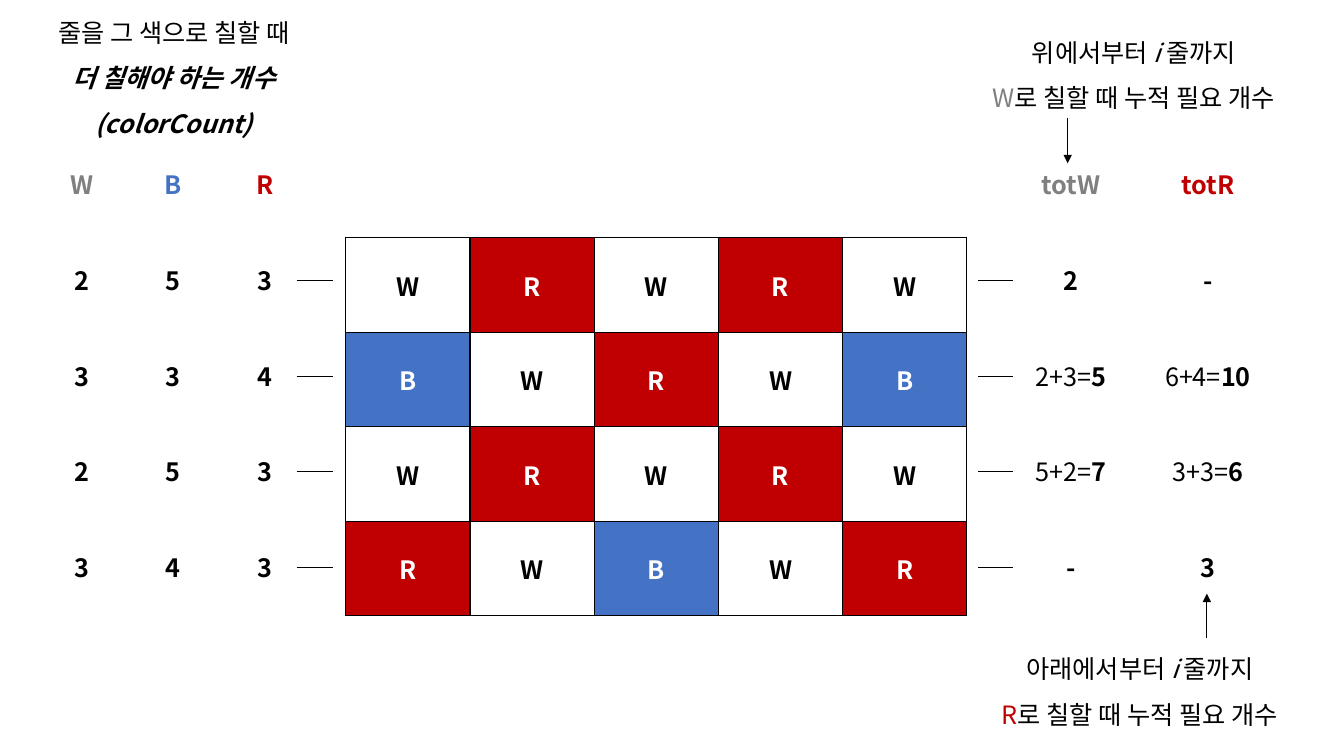
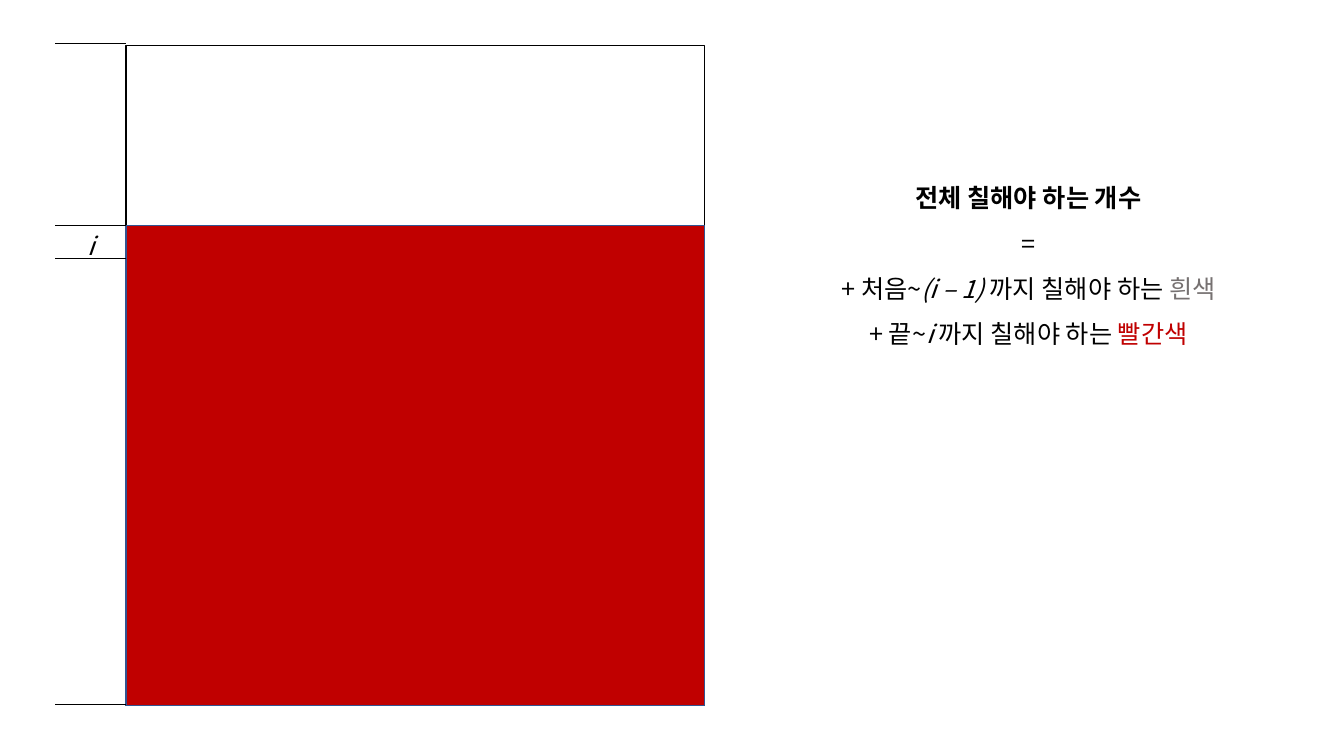
"""Build two slides on counting the cells to repaint, row by row."""
import dataclasses
import typing

import lxml.etree
import pptx
import pptx.dml.color
import pptx.enum.shapes
import pptx.enum.text
import pptx.oxml.ns
import pptx.util

PX = 9144
ALIGN = pptx.enum.text.PP_ALIGN
ANCHOR = pptx.enum.text.MSO_ANCHOR


@dataclasses.dataclass(frozen=True)
class Theme:
    """Colours, font and sizes shared by the slides."""

    font: str = "Noto Sans CJK KR"
    size: int = 18
    spacing: float = 1.5
    border: float = 1
    hairline: float = 0.5
    black: str = "000000"
    white: str = "FFFFFF"
    red: str = "C00000"
    blue: str = "4472C4"
    navy: str = "325491"
    gray: str = "808080"
    dark_gray: str = "767171"


T = Theme()


class Run(typing.NamedTuple):
    """A stretch of text with one format."""

    text: str
    color: str = T.black
    bold: bool = False
    italic: bool = False


class Box(typing.NamedTuple):
    """A rectangle in px."""

    left: int
    top: int
    width: int
    height: int

    def emu(self) -> list[int]:
        """Return the four lengths in EMU."""
        return [v * PX for v in self]


class Line(typing.NamedTuple):
    """A straight line in px, with an optional arrowhead at its end."""

    x1: int
    y1: int
    x2: int
    y2: int
    arrow: bool = False


Paragraph = list[Run]
FILLS = {"W": T.white, "R": T.red, "B": T.blue}


def rgb(color: str) -> pptx.dml.color.RGBColor:
    """Turn a hex string into a colour."""
    return pptx.dml.color.RGBColor.from_string(color)


def sub(parent, tag: str, **attrs: str):
    """Append a DrawingML element."""
    return lxml.etree.SubElement(parent, pptx.oxml.ns.qn(tag), attrs)


def write(tf, paragraphs: list[Paragraph], *, align=ALIGN.CENTER, spacing: float | None = None) -> None:
    """Fill a text frame with formatted paragraphs."""
    for n, runs in enumerate(paragraphs):
        p = tf.add_paragraph() if n else tf.paragraphs[0]
        p.alignment = align
        p.line_spacing = spacing
        for run in runs:
            r = p.add_run()
            r.text = run.text
            r.font.size = pptx.util.Pt(T.size)
            r.font.bold, r.font.italic = run.bold, run.italic
            r.font.color.rgb = rgb(run.color)
            r.font.name = T.font
            sub(r.font._element, "a:ea", typeface=T.font)


def add_text(s, box: Box, paragraphs: list[Paragraph], *, align=ALIGN.CENTER,
             anchor=ANCHOR.MIDDLE, spacing: float | None = T.spacing) -> None:
    """Add an unwrapped text box."""
    tf = s.shapes.add_textbox(*box.emu()).text_frame
    tf.word_wrap = False
    tf.auto_size = pptx.enum.text.MSO_AUTO_SIZE.SHAPE_TO_FIT_TEXT
    tf.vertical_anchor = anchor
    write(tf, paragraphs, align=align, spacing=spacing)


def add_line(s, line: Line) -> None:
    """Add a thin black line or arrow."""
    ends = [v * PX for v in line[:4]]
    c = s.shapes.add_connector(pptx.enum.shapes.MSO_CONNECTOR.STRAIGHT, *ends)
    c.line.color.rgb = rgb(T.black)
    c.line.width = pptx.util.Pt(T.hairline)
    if line.arrow:
        sub(c.line._get_or_add_ln(), "a:tailEnd", type="triangle")
    sub(c._element.spPr, "a:effectLst")


def add_rect(s, box: Box, fill: str, line: str) -> None:
    """Add a plain outlined rectangle."""
    sp = s.shapes.add_shape(pptx.enum.shapes.MSO_SHAPE.RECTANGLE, *box.emu())
    sp.shadow.inherit = False
    sp.fill.solid()
    sp.fill.fore_color.rgb = rgb(fill)
    sp.line.color.rgb = rgb(line)
    sp.line.width = pptx.util.Pt(T.border)


def add_borders(cell) -> None:
    """Draw black lines on the four sides of a cell."""
    tc_pr = cell._tc.get_or_add_tcPr()
    for n, side in enumerate("LRTB"):
        ln = sub(tc_pr, f"a:ln{side}", w=str(pptx.util.Pt(T.border)))
        sub(sub(ln, "a:solidFill"), "a:srgbClr", val=T.black)
        tc_pr.insert(n, ln)


def add_table(s, box: Box, rows: list[list[Paragraph]], *, fills: list[str] | None = None) -> None:
    """Add a table; letters in fills colour and border its cells."""
    table = s.shapes.add_table(len(rows), len(rows[0]), *box.emu()).table
    table.first_row = table.horz_banding = False
    for i, row in enumerate(rows):
        for j, runs in enumerate(row):
            cell = table.cell(i, j)
            cell.vertical_anchor = ANCHOR.MIDDLE
            cell.fill.solid()
            cell.fill.fore_color.rgb = rgb(FILLS[fills[i][j]] if fills else T.white)
            if fills:
                add_borders(cell)
            write(cell.text_frame, [runs])


def sum_cell(text: str) -> Paragraph:
    """Set the result of a sum in bold and its terms in regular."""
    head, equals, result = text.rpartition("=")
    terms = [Run(head + equals)] if equals else []
    return [*terms, Run(result, bold=True)]


def headed(header: dict[str, str], rows: list[list[str]]) -> list[list[Paragraph]]:
    """Put a coloured header row over rows of counts."""
    top = [[Run(text, color, bold=True)] for text, color in header.items()]
    return [top, *([sum_cell(text) for text in row] for row in rows)]


def build_counts(s) -> None:
    """Draw the board with its counts and running totals."""
    board = ["WRWRW", "BWRWB", "WRWRW", "RWBWR"]
    letters = [[[Run(c, T.black if c == "W" else T.white, bold=True)] for c in row] for row in board]
    add_table(s, Box(343, 236, 616, 375), letters, fills=board)
    counts = [list(row) for row in ("253", "334", "253", "343")]
    add_table(s, Box(36, 134, 272, 476), headed({"W": T.gray, "B": T.blue, "R": T.red}, counts))
    totals = [["2", "-"], ["2+3=5", "6+4=10"], ["5+2=7", "3+3=6"], ["-", "3"]]
    add_table(s, Box(994, 134, 272, 476), headed({"totW": T.gray, "totR": T.red}, totals))

    add_text(s, Box(31, -1, 283, 141), [
        [Run("줄을 그 색으로 칠할 때")],
        [Run("더 칠해야 하는 개수", bold=True, italic=True)],
        [Run("(colorCount)", bold=True, italic=True)],
    ])
    notes = [
        (Box(954, 19, 341, 95), "위에서부터 ", "i", " 줄까지", Run("W", T.gray)),
        (Box(964, 631, 333, 95), "아래에서부터 ", "i ", "줄까지", Run("R", T.red)),
    ]
    for box, start, index, end, letter in notes:
        add_text(s, box, [
            [Run(start), Run(index, italic=True), Run(end)],
            [letter, Run("로 칠할 때 누적 필요 개수")],
        ])

    add_line(s, Line(1059, 117, 1059, 162, arrow=True))
    add_line(s, Line(1197, 633, 1197, 589, arrow=True))
    for x in (295, 970):
        for n in range(len(board)):
            y = 278 + 95 * n
            add_line(s, Line(x, y, x + 35, y))


def build_split(s) -> None:
    """Draw the board split at row i and the sum of both parts."""
    add_rect(s, Box(125, 45, 574, 655), T.white, T.black)
    add_rect(s, Box(125, 224, 574, 476), T.red, T.navy)
    for y in (43, 224, 256, 699):
        add_line(s, Line(55, y, 125, y))
    add_text(s, Box(77, 224, 26, 40), [[Run("i", italic=True)]],
             align=ALIGN.LEFT, anchor=ANCHOR.TOP, spacing=None)
    need = Run("까지 칠해야 하는 ")
    add_text(s, Box(798, 160, 444, 192), [
        [Run("전체 칠해야 하는 개수", bold=True)],
        [Run("=")],
        [Run("+ 처음~"), Run("(i – 1) ", italic=True), need, Run("흰색", T.dark_gray)],
        [Run("+ 끝~"), Run("i ", italic=True), need, Run("빨간색", T.red)],
    ])


def main() -> None:
    """Build and save the presentation."""
    prs = pptx.Presentation()
    prs.slide_width, prs.slide_height = 1333 * PX, 750 * PX
    for build in (build_counts, build_split):
        build(prs.slides.add_slide(prs.slide_layouts[6]))
    prs.save("out.pptx")


if __name__ == "__main__":
    main()
